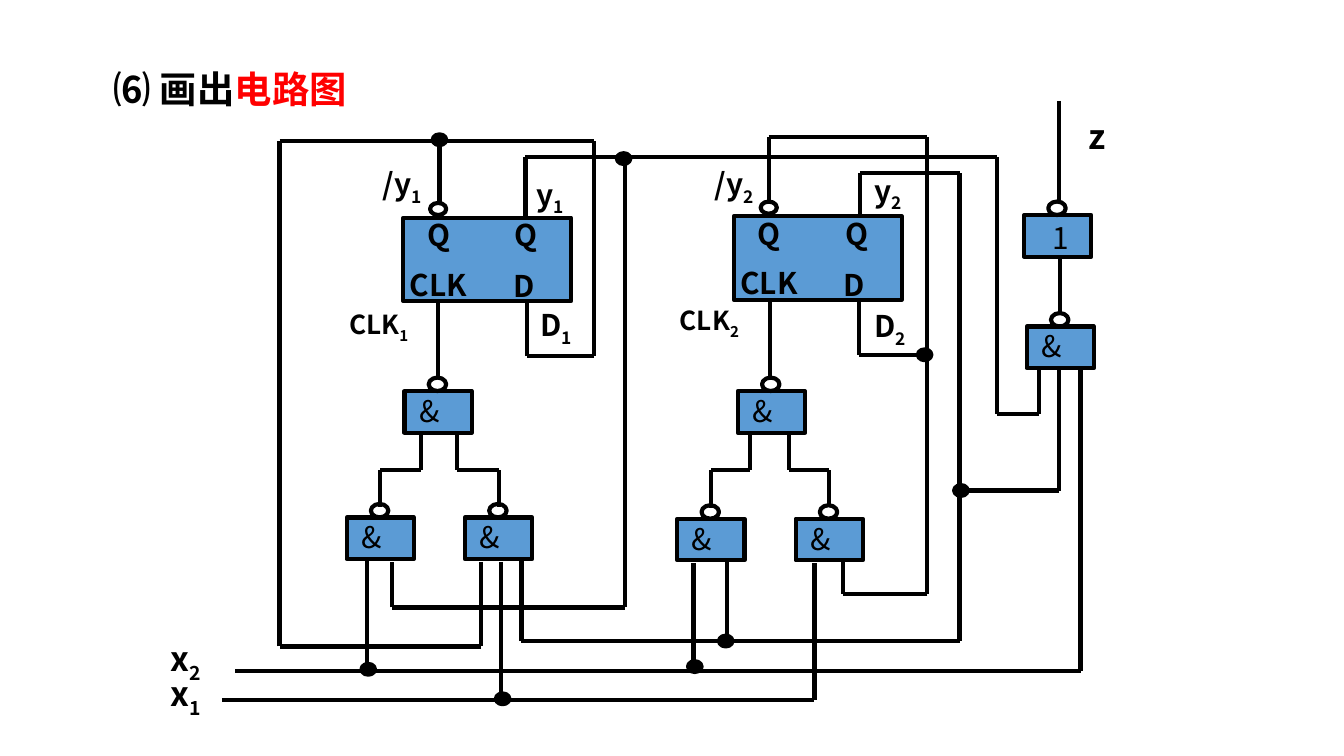
from dataclasses import dataclass
from itertools import pairwise

from lxml.etree import SubElement
from pptx import Presentation
from pptx.dml.color import RGBColor as RGB
from pptx.enum.shapes import MSO_CONNECTOR as Link, MSO_SHAPE as Kind
from pptx.enum.text import MSO_ANCHOR as Anchor
from pptx.oxml.ns import qn
from pptx.util import Inches, Pt


@dataclass(frozen=True)
class Theme:
    ink: RGB = RGB(0, 0, 0)
    red: RGB = RGB(255, 0, 0)
    blue: RGB = RGB(0x5B, 0x9B, 0xD5)
    font: str = "Noto Sans CJK SC"
    head: str = "Noto Sans CJK JP"
    line: float = 2.25
    title: int = 20
    port: int = 18
    body: int = 16
    clock: int = 14


T = Theme()
deck = Presentation()
deck.slide_width = Inches(10)
deck.slide_height = deck.slide_width * 9 // 16
slide = deck.slides.add_slide(deck.slide_layouts[6])


def draw(kind, x, y, w, h, fill=None):
    """Add an outlined shape, hollow unless a fill is given."""
    form = slide.shapes.add_shape(kind, Inches(x), Inches(y), Inches(w), Inches(h))
    form.shadow.inherit = False
    form.line.color.rgb, form.line.width = T.ink, Pt(T.line)
    if fill is None:
        form.fill.background()
    else:
        form.fill.solid()
        form.fill.fore_color.rgb = fill


def write(parts, x, y, w, h, size=T.body, bold=True, face=T.font):
    """Add a text box; parts are (text, colour, is subscript)."""
    box = slide.shapes.add_textbox(Inches(x), Inches(y), Inches(w), Inches(h))
    frame = box.text_frame
    frame.word_wrap = True
    frame.vertical_anchor = Anchor.MIDDLE
    for text, color, low in parts:
        run = frame.paragraphs[0].add_run()
        run.text = text
        run.font.name, run.font.size = face, Pt(size)
        run.font.bold, run.font.color.rgb = bold, color
        props = run._r.get_or_add_rPr()
        SubElement(props, qn("a:ea")).set("typeface", face)
        if low:
            props.set("baseline", "-25000")
    return frame


# Title
title = write([("⑹ 画出", T.ink, False), ("电路图", T.red, False)],
              0.75, 0.49, 8.5, 0.59, T.title, face=T.head)
title.vertical_anchor = Anchor.TOP
title.margin_top = Inches(0.04)
title.paragraphs[0].line_spacing = 0.9

# Wires, each a chain of corner points
wires = [
    # flip-flop 1
    [(3.27, 1.04), (3.27, 1.5)],
    [(3.58, 4.18), (3.58, 4.81), (2.08, 4.81), (2.08, 1.05),
     (4.42, 1.05), (4.42, 2.65), (3.92, 2.65), (3.92, 2.25)],
    [(3.91, 1.62), (3.91, 1.17), (7.42, 1.17), (7.42, 3.08),
     (7.73, 3.08), (7.73, 2.75)],
    [(4.65, 1.17), (4.65, 4.52), (2.92, 4.52), (2.92, 4.18)],
    [(3.26, 2.25), (3.26, 2.81)],
    # flip-flop 2
    [(5.72, 1.51), (5.72, 1.02), (6.9, 1.02), (6.9, 4.42),
     (6.27, 4.42), (6.27, 4.17)],
    [(6.39, 2.24), (6.39, 2.64), (6.9, 2.64)],
    [(6.4, 1.61), (6.4, 1.29), (7.14, 1.29), (7.14, 4.77),
     (3.88, 4.77), (3.88, 4.17)],
    [(5.73, 2.25), (5.73, 2.8)],
    # gate trees
    [(3.13, 3.22), (3.13, 3.5), (2.83, 3.5), (2.83, 3.77)],
    [(3.4, 3.24), (3.4, 3.5), (3.71, 3.5), (3.71, 3.77)],
    [(5.58, 3.24), (5.58, 3.5), (5.29, 3.5), (5.29, 3.78)],
    [(5.87, 3.24), (5.87, 3.5), (6.17, 3.5), (6.17, 3.77)],
    # inputs
    [(1.75, 4.99), (8.04, 4.99), (8.04, 2.73)],
    [(1.65, 5.21), (6.06, 5.21), (6.06, 4.19)],
    [(2.73, 4.17), (2.73, 4.95)],
    [(3.73, 4.18), (3.73, 5.16)],
    [(5.16, 4.19), (5.16, 5)],
    [(5.41, 4.18), (5.41, 4.8)],
    # output
    [(7.88, 0.75), (7.88, 1.5)],
    [(7.89, 1.92), (7.89, 2.32)],
    [(7.88, 2.75), (7.88, 3.65), (7.17, 3.65)],
]
for wire in wires:
    for start, end in pairwise(wire):
        link = slide.shapes.add_connector(
            Link.STRAIGHT, *(Inches(v) for v in start + end))
        link.line.color.rgb, link.line.width = T.ink, Pt(T.line)
        SubElement(link._element.spPr, qn("a:effectLst"))

# Junction dots
for x, y in [(3.22, 1), (4.59, 1.14), (6.83, 2.6), (7.1, 3.61),
             (5.35, 4.73), (2.69, 4.94), (5.12, 4.92), (3.69, 5.16)]:
    draw(Kind.OVAL, x, y, 0.1, 0.08, T.ink)

# Flip-flops with their pins
pins = [("CLK", -0.05, 0.31, 0.92), ("Q", 0.08, -0.06, 0.67),
        ("Q", 0.73, -0.06, 0.67), ("D", 0.72, 0.32, 0.67)]
for x, y in [(3, 1.62), (5.46, 1.61)]:
    draw(Kind.RECTANGLE, x, y, 1.25, 0.62, T.blue)
    draw(Kind.OVAL, x + 0.2, y - 0.11, 0.12, 0.09)
    for pin, dx, dy, wide in pins:
        write([(pin, T.ink, False)], x + dx, y + dy, wide, 0.37)

# Gates with inverted outputs
gates = [("1", 7.62, 1.6), ("&", 7.64, 2.43),
         ("&", 3.01, 2.91), ("&", 5.49, 2.91),
         ("&", 2.58, 3.85), ("&", 3.46, 3.85),
         ("&", 5.04, 3.86), ("&", 5.92, 3.86)]
for sign, x, y in gates:
    draw(Kind.RECTANGLE, x, y, 0.5, 0.31, T.blue)
    draw(Kind.OVAL, x + 0.18, y - 0.1, 0.13, 0.1)
    dx, dy = (0.11, -0.02) if sign == "1" else (0.01, -0.04)
    write([(sign, T.ink, False)], x + dx, y + dy, 0.58, 0.37, bold=False)

# Signal names
names = [
    ("z", "", 8, 0.81, 0.5, 0.4, T.port),
    ("x", "2", 1.17, 4.72, 1, 0.4, T.port),
    ("x", "1", 1.17, 4.98, 1, 0.4, T.port),
    ("/y", "1", 2.75, 1.2, 0.75, 0.37, T.body),
    ("/y", "2", 5.22, 1.2, 0.75, 0.37, T.body),
    ("y", "1", 3.89, 1.28, 0.75, 0.37, T.body),
    ("y", "2", 6.41, 1.25, 0.75, 0.37, T.body),
    ("D", "1", 3.92, 2.25, 0.75, 0.37, T.body),
    ("D", "2", 6.41, 2.26, 0.75, 0.37, T.body),
    ("CLK", "1", 2.5, 2.26, 1, 0.34, T.clock),
    ("CLK", "2", 4.96, 2.23, 1, 0.34, T.clock),
]
for name, sub, *place in names:
    parts = [(name, T.ink, False)]
    if sub:
        parts.append((sub, T.ink, True))
    write(parts, *place)

deck.save("out.pptx")
